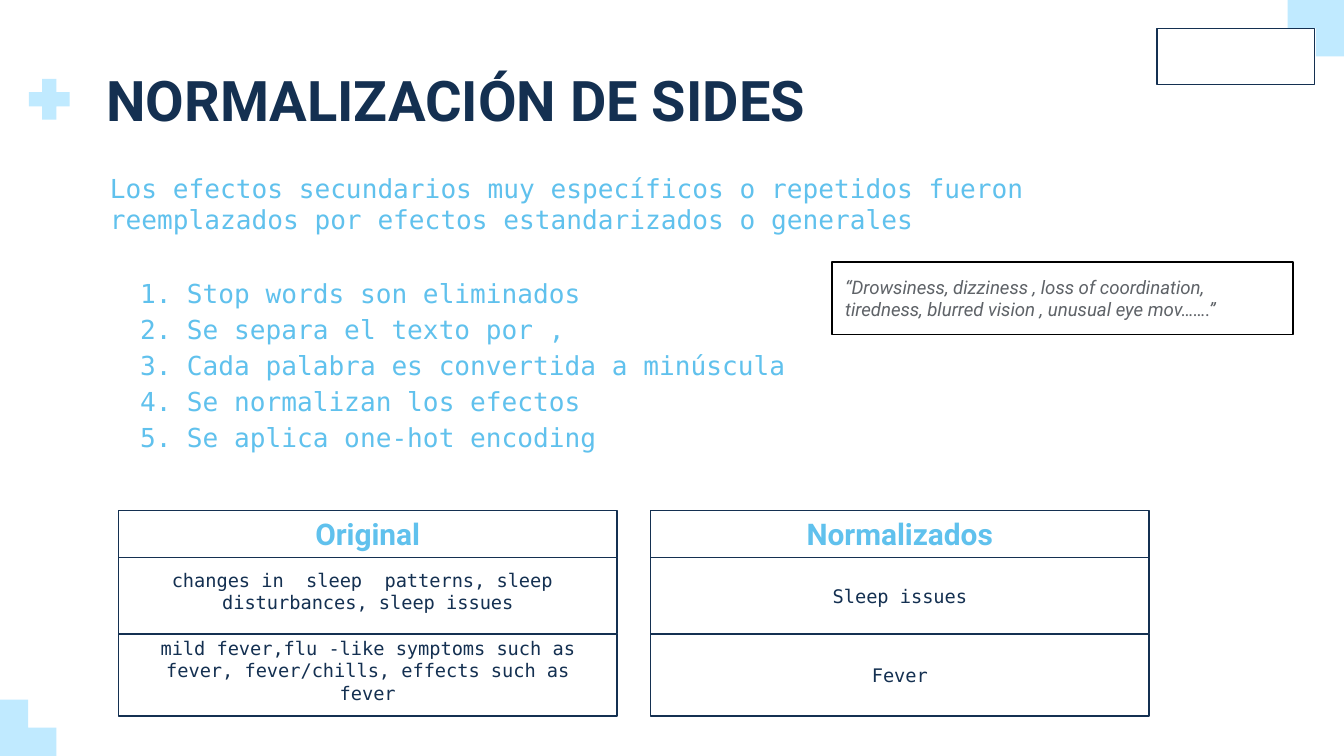
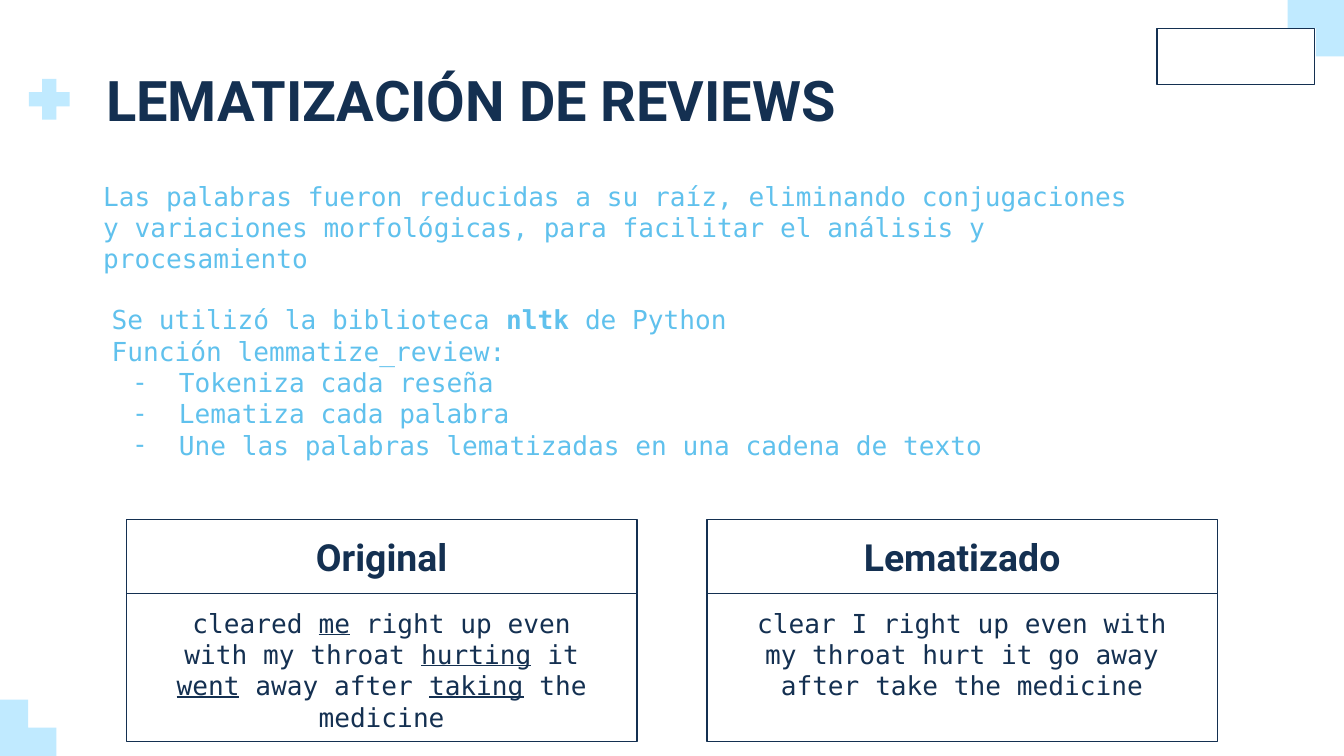
from lxml.etree import SubElement
from pptx import Presentation
from pptx.dml.color import RGBColor
from pptx.enum.shapes import MSO_SHAPE as SHAPE
from pptx.enum.text import MSO_ANCHOR as ANCHOR, MSO_AUTO_SIZE as AUTO, PP_ALIGN as ALIGN
from pptx.oxml.ns import qn
from pptx.util import Pt

NAVY = RGBColor(0x14, 0x30, 0x51)
SKY = RGBColor(0x60, 0xC1, 0xED)
PALE = RGBColor(0xC0, 0xEA, 0xFF)
GRAY = RGBColor(0x5F, 0x63, 0x68)
BLACK = RGBColor(0, 0, 0)
SANS = "Roboto"
MONO = "DejaVu Sans Mono"
WIDTH, HEIGHT = 720, 405
CORNER = 30.2


def set_bullet(p, bullet, font, color):
    """Give a paragraph a number, a bullet character or no bullet."""
    pPr = p._p.get_or_add_pPr()
    pPr.set("marL", str(Pt(36) if bullet else 0))
    pPr.set("indent", str(Pt(-25) if bullet else 0))
    if not bullet:
        SubElement(pPr, qn("a:buNone"))
        return
    SubElement(SubElement(pPr, qn("a:buClr")), qn("a:srgbClr"), val=str(color))
    SubElement(pPr, qn("a:buFont"), typeface=font)
    if bullet == "1.":
        SubElement(pPr, qn("a:buAutoNum"), type="arabicPeriod")
    else:
        SubElement(pPr, qn("a:buChar"), char=bullet)


def write(sp, paras, font=MONO, size=14, color=SKY, bold=False, italic=False,
          align=ALIGN.LEFT, anchor=ANCHOR.TOP, insets=(7.2, 7.2, 7.2, 7.2),
          spacing=1.0, bullet=None, plain=0):
    """Fill a shape with paragraphs of runs; the first `plain` ones get no bullet."""
    tf = sp.text_frame
    tf.word_wrap, tf.auto_size, tf.vertical_anchor = True, AUTO.NONE, anchor
    tf.margin_left, tf.margin_top, tf.margin_right, tf.margin_bottom = map(Pt, insets)
    for i, runs in enumerate(paras):
        p = tf.add_paragraph() if i else tf.paragraphs[0]
        p.alignment, p.line_spacing, p.space_before = align, spacing, Pt(0)
        set_bullet(p, bullet if i >= plain else None, font, color)
        for run in [runs] if isinstance(runs, str) else runs:
            text, mark = (run, "") if isinstance(run, str) else run
            r = p.add_run()
            r.text = text
            r.font.name, r.font.size, r.font.color.rgb = font, Pt(size), color
            r.font.bold, r.font.italic = bold or mark == "b", italic
            r.font.underline = mark == "u"


def place(sp, x, y, w, h):
    """Move and size a placeholder."""
    sp.left, sp.top, sp.width, sp.height = map(Pt, (x, y, w, h))
    return sp


def add_text(s, x, y, w, h, paras, **fmt):
    """Add a text box."""
    write(s.shapes.add_textbox(Pt(x), Pt(y), Pt(w), Pt(h)), paras, **fmt)


def add_frame(s, x, y, w, h, line=NAVY):
    """Add an unfilled rectangle with a thin outline."""
    sp = s.shapes.add_shape(SHAPE.RECTANGLE, Pt(x), Pt(y), Pt(w), Pt(h))
    sp.shadow.inherit = False
    sp.fill.background()
    sp.line.color.rgb, sp.line.width = line, Pt(0.75)
    return sp


def paint(sp):
    """Give a decoration its flat pale fill."""
    sp.shadow.inherit = False
    sp.fill.solid()
    sp.fill.fore_color.rgb = PALE
    sp.line.fill.background()


def add_corner(s, x, y, rotation=0):
    """Add an L-shaped slide corner."""
    sp = s.shapes.add_shape(SHAPE.RECTANGLE, Pt(x), Pt(y), Pt(CORNER), Pt(CORNER))
    sp._element.spPr.find(qn("a:prstGeom")).set("prst", "corner")
    sp.rotation = rotation
    paint(sp)


def add_cross(s, x, y, size=21.8, arm=7.1):
    """Add the cross beside the title."""
    a, b, c = arm, size - arm, size
    outline = [(b, 0), (b, a), (c, a), (c, b), (b, b), (b, c),
               (a, c), (a, b), (0, b), (0, a), (a, a), (a, 0)]
    points = [(Pt(x + dx), Pt(y + dy)) for dx, dy in outline]
    ff = s.shapes.build_freeform(*points[0])
    ff.add_line_segments(points[1:])
    paint(ff.convert_to_shape())


def add_slide(prs, title):
    """Add a slide with the shared decoration and title; return it with its body."""
    s = prs.slides.add_slide(prs.slide_layouts[1])
    add_corner(s, WIDTH - CORNER, 0, 180)
    add_corner(s, 0, HEIGHT - CORNER)
    add_cross(s, 15.5, 42.3)
    add_frame(s, 619.9, 15.1, 84.2, CORNER)
    write(place(s.shapes.title, 56.9, 35.3, 607, 36), [title], font=SANS,
          size=30, color=NAVY, bold=True, insets=(0, 0, 0, 0))
    return s, s.placeholders[1]


def add_column(s, x, y, w, heights, head, cells, head_fmt, **fmt):
    """Add a header frame with text frames stacked below it."""
    head_fmt = {"font": SANS, "bold": True, "anchor": ANCHOR.MIDDLE, **head_fmt}
    write(add_frame(s, x, y, w, heights[0]), [head], align=ALIGN.CENTER, **head_fmt)
    for above, h, cell in zip(heights, heights[1:], cells):
        y += above
        write(add_frame(s, x, y, w, h), [cell], color=NAVY, align=ALIGN.CENTER, **fmt)


def build_normalization(prs):
    """Build the slide on normalizing side effects."""
    s, body = add_slide(prs, "NORMALIZACIÓN DE SIDES")
    add_text(s, 51.8, 85, 576, 66, [
        "Los efectos secundarios muy específicos o repetidos fueron "
        "reemplazados por efectos estandarizados o generales"])
    write(place(body, 56.9, 139, 590.4, 113), [
        "Stop words son eliminados",
        "Se separa el texto por ,",
        "Cada palabra es convertida a minúscula",
        "Se normalizan los efectos",
        "Se aplica one-hot encoding"], bullet="1.", spacing=1.15)
    write(add_frame(s, 445.7, 140.4, 247, 38.9, BLACK), [
        "“Drowsiness, dizziness , loss of coordination, tiredness, "
        "blurred vision , unusual eye mov…….”"],
        font=SANS, size=10, color=GRAY, italic=True)
    columns = [
        ("Original", [
            "changes in  sleep  patterns, sleep  disturbances, sleep issues",
            "mild fever,flu -like symptoms such as fever, fever/chills, "
            "effects such as fever"], 12),
        ("Normalizados", ["Sleep issues", "Fever"], 7.2)]
    for i, (head, cells, bottom) in enumerate(columns):
        add_column(s, 63.4 + 285.1 * i, 273.6, 267.1, (25, 41, 44), head, cells,
                   {"size": 16}, size=10, anchor=ANCHOR.MIDDLE,
                   insets=(14.4, 7.2, 14.4, bottom))


def build_lemmatization(prs):
    """Build the slide on lemmatizing reviews."""
    s, body = add_slide(prs, "LEMATIZACIÓN DE REVIEWS")
    add_text(s, 48.2, 89.3, 576, 57.6, [
        "Las palabras fueron reducidas a su raíz, eliminando conjugaciones y "
        "variaciones morfológicas, para facilitar el análisis y procesamiento"])
    write(place(body, 52.6, 155.5, 590.4, 106.6), [
        ["Se utilizó la biblioteca ", ("nltk ", "b"), "de Python"],
        "Función lemmatize_review:",
        "Tokeniza cada reseña",
        "Lematiza cada palabra",
        "Une las palabras lematizadas en una cadena de texto"], bullet="-", plain=2)
    columns = [
        ("Original", [
            "cleared ", ("me", "u"), " right up even with my throat ",
            ("hurting", "u"), " it ", ("went", "u"), " away after ",
            ("taking", "u"), " the medicine"], 14.4),
        ("Lematizado", "clear I right up even with my throat hurt it go away "
                       "after take the medicine", 21.6)]
    for i, (head, review, side) in enumerate(columns):
        add_column(s, 67.7 + 311 * i, 278.4, 273.6, (39.6, 79.2), head, [review],
                   {"size": 20, "color": NAVY}, insets=(side, 7.2, side, 7.2))


def main():
    """Build and save the presentation."""
    prs = Presentation()
    prs.slide_width, prs.slide_height = Pt(WIDTH), Pt(HEIGHT)
    build_normalization(prs)
    build_lemmatization(prs)
    prs.save("out.pptx")


if __name__ == "__main__":
    main()
